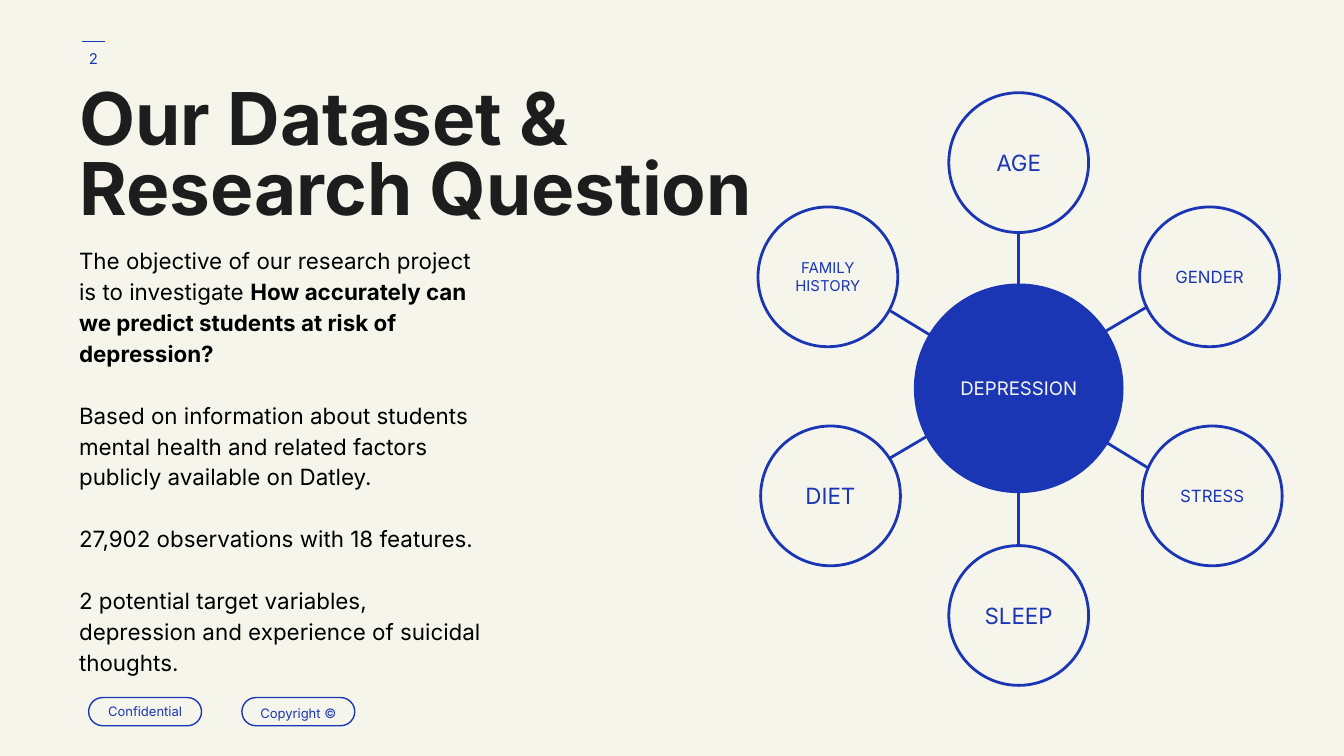
from dataclasses import dataclass

from pptx import Presentation
from pptx.dml.color import RGBColor
from pptx.enum import shapes, text
from pptx.oxml.ns import qn
from pptx.util import Inches, Pt


@dataclass(frozen=True)
class Theme:
    font: str = "Inter"
    paper: RGBColor = RGBColor(0xF6, 0xF5, 0xEC)
    blue: RGBColor = RGBColor(0x1A, 0x36, 0xB4)
    ink: RGBColor = RGBColor(0x1D, 0x1D, 0x1D)
    black: RGBColor = RGBColor(0, 0, 0)
    title: int = 39
    body: int = 12
    hub: int = 10
    page: int = 8
    pill: int = 7
    thin: float = 0.75
    thick: float = 1.5


THEME = Theme()
LEFT, CENTER = text.PP_ALIGN.LEFT, text.PP_ALIGN.CENTER
TOP, MIDDLE = text.MSO_ANCHOR.TOP, text.MSO_ANCHOR.MIDDLE

# Factor: left, top, type size
FACTORS = {
    "GENDER": (8.48, 1.54, 9),
    "FAMILY HISTORY": (5.64, 1.54, 8),
    "AGE": (7.06, 0.69, 12),
    "DIET": (5.66, 3.17, 12),
    "STRESS": (8.5, 3.17, 9),
    "SLEEP": (7.06, 4.06, 12),
}
FACTOR_SIZE = 1.04
HUB_SIZE = 1.56

# Each paragraph is a list of (wording, bold)
BODY = [
    [("The objective of our research project is to investigate ", False),
     ("How accurately can we predict students at risk of depression?", True)],
    [("Based on information about students mental health and related factors "
      "publicly available on Datley.", False)],
    [("27,902 observations with 18 features.", False)],
    [("2 potential target variables, depression and experience of suicidal "
      "thoughts.", False)],
]


def set_frame(frame, anchor):
    frame.word_wrap = True
    frame.auto_size = text.MSO_AUTO_SIZE.NONE
    frame.vertical_anchor = anchor
    frame.margin_left = frame.margin_right = Inches(0.1)
    frame.margin_top = frame.margin_bottom = Inches(0.1)


def style(paragraph, size, color, align=LEFT, spacing=None, bold=None):
    paragraph.alignment = align
    paragraph.line_spacing = spacing
    font = paragraph.font
    font.name, font.size, font.bold = THEME.font, Pt(size), bold
    font.color.rgb = color


def add_line(slide, start, end, width):
    line = slide.shapes.add_connector(
        shapes.MSO_CONNECTOR.STRAIGHT, *map(Inches, start + end))
    line.line.color.rgb = THEME.blue
    line.line.width = Pt(width)
    properties = line._element.spPr
    properties.append(properties.makeelement(qn("a:effectLst"), {}))
    return line


def add_round(slide, label, box, size, width=None, spacing=None):
    """Fully rounded shape: outlined if a line width is given, else solid."""
    shape = slide.shapes.add_shape(
        shapes.MSO_SHAPE.ROUNDED_RECTANGLE, *map(Inches, box))
    shape.adjustments[0] = 0.5
    shape.shadow.inherit = False
    if width:
        shape.fill.background()
        shape.line.color.rgb = THEME.blue
        shape.line.width = Pt(width)
    else:
        shape.fill.solid()
        shape.fill.fore_color.rgb = THEME.blue
        shape.line.fill.background()
    set_frame(shape.text_frame, MIDDLE)
    shape.text_frame.text = label
    style(shape.text_frame.paragraphs[0], size,
          THEME.blue if width else THEME.paper, CENTER, spacing)
    return shape


def add_title(slide, wording):
    title = slide.shapes.title
    title.left, title.top = Inches(0.49), Inches(0.57)
    title.width, title.height = Inches(6.15), Inches(1.44)
    set_frame(title.text_frame, TOP)
    title.text_frame.text = wording
    style(title.text_frame.paragraphs[0], THEME.title, THEME.ink,
          spacing=0.8, bold=True)


def add_text_box(slide, box, anchor):
    frame = slide.shapes.add_textbox(*map(Inches, box)).text_frame
    set_frame(frame, anchor)
    return frame


def add_body(slide):
    frame = add_text_box(slide, (0.49, 1.71, 3.24, 3.34), TOP)
    for index, runs in enumerate(BODY):
        paragraph = frame.add_paragraph() if index else frame.paragraphs[0]
        style(paragraph, THEME.body, THEME.black, spacing=1.15)
        if index:
            paragraph.space_before = Pt(16.6)
        for wording, bold in runs:
            run = paragraph.add_run()
            run.text = wording
            run.font.bold = bold


def add_factor_map(slide):
    # Spokes lie behind the hub
    add_line(slide, (6.62, 3.41), (8.54, 2.28), THEME.thick)
    add_line(slide, (8.54, 3.48), (6.62, 2.31), THEME.thick)
    upright = add_line(slide, (7.58, 4.06), (7.58, 1.73), THEME.thick)

    add_round(slide, "DEPRESSION", (6.8, 2.11, HUB_SIZE, HUB_SIZE), THEME.hub)
    circles = {
        label: add_round(slide, label, (left, top, FACTOR_SIZE, FACTOR_SIZE),
                         size, THEME.thick)
        for label, (left, top, size) in FACTORS.items()
    }
    upright.begin_connect(circles["SLEEP"], 0)
    upright.end_connect(circles["AGE"], 2)


def main():
    deck = Presentation()
    # Widescreen, 16 by 9
    deck.slide_width = Inches(10)
    deck.slide_height = deck.slide_width * 9 // 16
    slide = deck.slides.add_slide(deck.slide_layouts[5])
    slide.background.fill.solid()
    slide.background.fill.fore_color.rgb = THEME.paper

    # Page furniture
    add_line(slide, (0.78, 0.31), (0.61, 0.31), THEME.thin)
    add_round(slide, "Confidential", (0.66, 5.19, 0.84, 0.21),
              THEME.pill, THEME.thin)
    add_round(slide, "Copyright ©", (1.8, 5.19, 0.84, 0.21),
              THEME.pill, THEME.thin, spacing=1.15)

    # Content
    add_title(slide, "Our Dataset & Research Question")
    add_body(slide)
    add_factor_map(slide)

    # Page number
    page = add_text_box(slide, (0.46, 0.22, 0.47, 0.43), MIDDLE)
    page.text = "2"
    style(page.paragraphs[0], THEME.page, THEME.blue, CENTER)

    deck.save("out.pptx")


if __name__ == "__main__":
    main()
